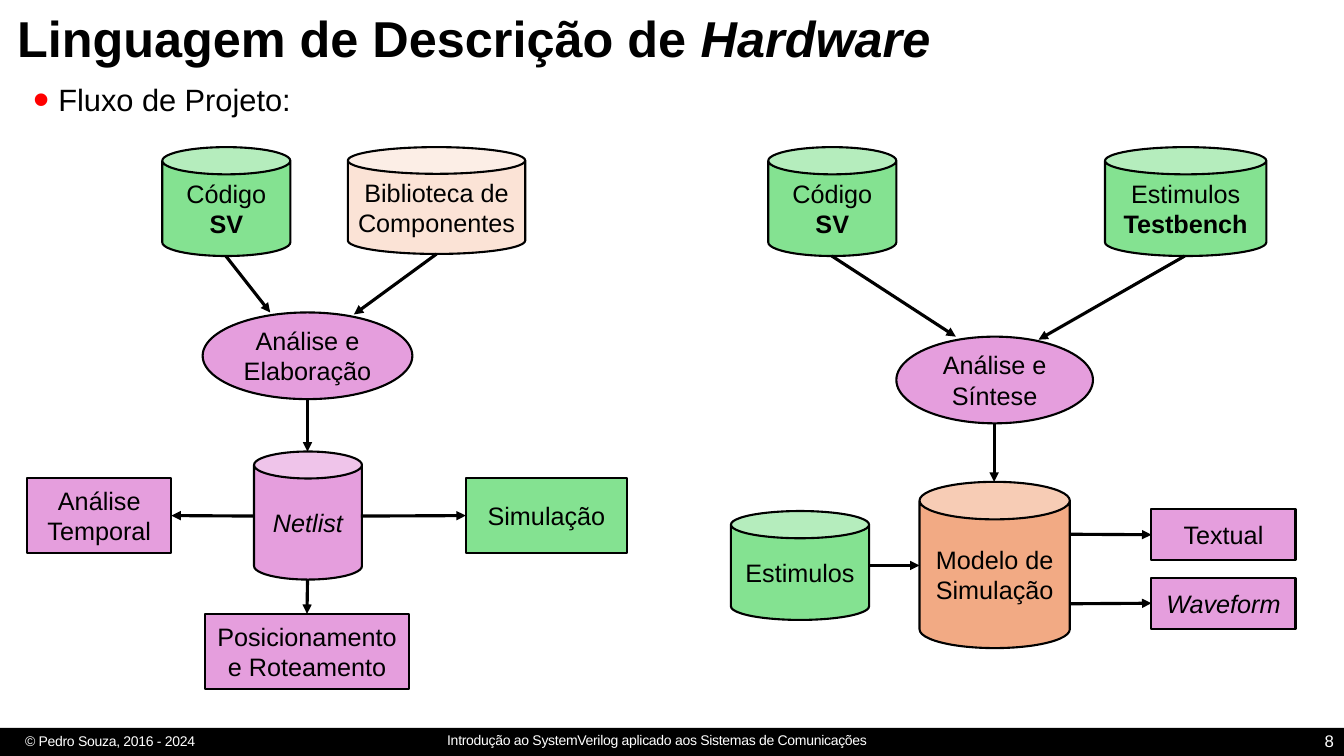
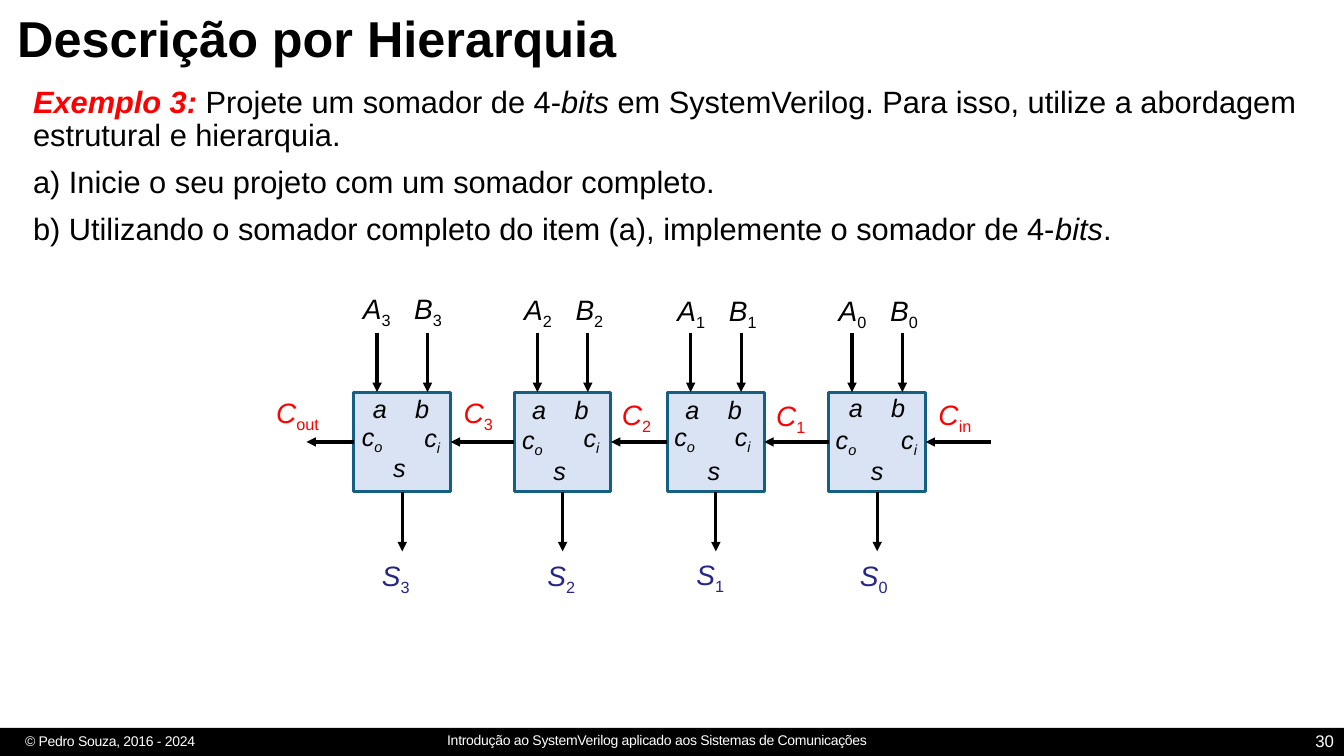
"""Build two lecture slides on hardware description: a design flow and a 4-bit adder."""
import pptx
import pptx.dml.color
import pptx.enum.shapes
import pptx.enum.text
import pptx.oxml
import pptx.oxml.ns
import pptx.util

Inches = pptx.util.Inches
Pt = pptx.util.Pt
RGB = pptx.dml.color.RGBColor
ALIGN = pptx.enum.text.PP_ALIGN
ANCHOR = pptx.enum.text.MSO_ANCHOR
SHAPE = pptx.enum.shapes.MSO_SHAPE

BLACK = RGB(0x00, 0x00, 0x00)
WHITE = RGB(0xFF, 0xFF, 0xFF)
RED = RGB(0xFF, 0x00, 0x00)
NAVY = RGB(0x26, 0x26, 0x86)
GREEN = RGB(0x84, 0xE2, 0x91)
PEACH = RGB(0xFB, 0xE3, 0xD6)
PINK = RGB(0xE5, 0x9E, 0xDD)
ORANGE = RGB(0xF2, 0xAA, 0x84)
PALE_BLUE = RGB(0xDA, 0xE3, 0xF3)
TEAL = RGB(0x15, 0x60, 0x82)
FONT = "Arial"

TOP, LEFT, BOTTOM, RIGHT = range(4)
BOLD = {"bold": True}
ITALIC = {"italic": True}

FOOTERS = [
    ("© Pedro Souza, 2016 - 2024", (0.15, 7.22, 3.28, 0.27), ALIGN.LEFT),
    ("Introdução ao SystemVerilog aplicado aos Sistemas de Comunicações",
     (4.24, 7.21, 4.55, 0.27), ALIGN.CENTER),
]

FLOW_TITLE = [("Linguagem de Descrição de ", {}), ("Hardware", ITALIC)]
FLOW_INTRO = [[("Fluxo de Projeto:", {})]]
SOURCE_CODE = [[("Código", {})], [("SV", BOLD)]]
FLOW_NODES = {
    "code": (SHAPE.CAN, (1.61, 1.46, 1.27, 1.08), GREEN, SOURCE_CODE),
    "library": (SHAPE.CAN, (3.45, 1.46, 1.76, 1.06), PEACH, [[("Biblioteca de Componentes", {})]]),
    "elaboration": (SHAPE.OVAL, (2.01, 3.1, 2.08, 0.86), PINK, [[("Análise e Elaboração", {})]]),
    "netlist": (SHAPE.CAN, (2.52, 4.48, 1.07, 1.27), PINK, [[("Netlist", ITALIC)]]),
    "timing": (SHAPE.RECTANGLE, (0.27, 4.74, 1.43, 0.75), PINK, [[("Análise Temporal", {})]]),
    "placement": (SHAPE.RECTANGLE, (2.03, 6.09, 2.03, 0.75), PINK,
                  [[("Posicionamento e Roteamento", {})]]),
    "simulation": (SHAPE.RECTANGLE, (4.62, 4.74, 1.6, 0.75), GREEN, [[("Simulação", {})]]),
    "model code": (SHAPE.CAN, (7.62, 1.46, 1.27, 1.08), GREEN, SOURCE_CODE),
    "testbench": (SHAPE.CAN, (10.96, 1.46, 1.6, 1.08), GREEN,
                  [[("Estimulos", {})], [("Testbench", BOLD)]]),
    "synthesis": (SHAPE.OVAL, (8.89, 3.34, 1.95, 0.86), PINK, [[("Análise e Síntese", {})]]),
    "model": (SHAPE.CAN, (9.12, 4.78, 1.49, 1.65), ORANGE, [[("Modelo de Simulação", {})]]),
    "stimuli": (SHAPE.CAN, (7.25, 5.07, 1.37, 1.08), GREEN, [[("Estimulos", {})]]),
    "text output": (SHAPE.RECTANGLE, (11.42, 5.05, 1.43, 0.51), PINK, [[("Textual", {})]]),
    "waveform": (SHAPE.RECTANGLE, (11.42, 5.73, 1.43, 0.51), PINK, [[("Waveform", ITALIC)]]),
}
FLOW_ARROWS = [
    ((2.24, 2.54), (2.68, 3.1), None),
    ((4.33, 2.52), (3.51, 3.12), None),
    ((3.05, 3.96), (3.05, 4.48), None),
    ((3.58, 5.12), (4.62, 5.12), ("simulation", LEFT)),
    ((3.05, 5.75), (3.05, 6.09), ("placement", TOP)),
    ((2.52, 5.12), (1.7, 5.12), ("timing", RIGHT)),
    ((8.25, 2.54), (9.48, 3.34), None),
    ((11.75, 2.54), (10.3, 3.37), None),
    ((9.86, 4.2), (9.86, 4.78), None),
    ((8.62, 5.61), (9.12, 5.61), None),
    ((10.61, 5.3), (11.42, 5.3), ("text output", LEFT)),
    ((10.61, 5.99), (11.42, 5.99), ("waveform", LEFT)),
]

ADDER_TITLE = [("Descrição por Hierarquia", {})]
ADDER_INTRO = [
    [("Exemplo 3: ", {"bold": True, "italic": True, "color": RED}),
     ("Projete um somador de 4-", {}), ("bits", ITALIC),
     (" em SystemVerilog. Para isso, utilize a abordagem estrutural e hierarquia.", {})],
    [("a) Inicie o seu projeto com um somador completo.", {})],
    [("b) Utilizando o somador completo do item (a), implemente o somador de 4-", {}),
     ("bits", ITALIC), (".", {})],
]
BITS = ["3", "2", "1", "0"]
ADDER_LEFTS = [3.51, 5.1, 6.62, 8.22]
ADDER_TOP, ADDER_WIDTH, ADDER_HEIGHT = 3.89, 0.96, 0.99
INPUT_OFFSETS = [0.23, 0.73]
ARROW_LENGTH = 0.59
CARRY_OUT_END, CARRY_IN_START = 3.04, 9.83
NO_MARKS = [""] * 4
INPUT_TOPS = [2.84, 2.85, 2.86, 2.86]
PORT_TOPS = [3.85, 3.86, 3.86, 3.84]
SIGNALS = [
    ("A", BITS, BLACK, [3.5, 5.1, 6.62, 8.22], INPUT_TOPS),
    ("B", BITS, BLACK, [4.01, 5.61, 7.13, 8.73], INPUT_TOPS),
    ("S", BITS, NAVY, [3.69, 5.33, 6.81, 8.43], [5.49, 5.49, 5.48, 5.49]),
    ("C", ["out", "3", "2", "1", "in"], RED,
     [2.64, 4.5, 6.07, 7.6, 9.21], [3.87, 3.87, 3.89, 3.9, 3.89]),
]
PORTS = [
    ("a", NO_MARKS, BLACK, [3.6, 5.18, 6.7, 8.32], PORT_TOPS),
    ("b", NO_MARKS, BLACK, [4.02, 5.6, 7.12, 8.74], PORT_TOPS),
    ("s", NO_MARKS, BLACK, [3.8, 5.39, 6.92, 8.54], [4.44, 4.47, 4.47, 4.47]),
    ("c", ["i"] * 4, BLACK, [4.11, 5.69, 7.19, 8.84], [4.14, 4.14, 4.13, 4.16]),
    ("c", ["o"] * 4, BLACK, [3.49, 5.08, 6.59, 8.19], [4.13, 4.16, 4.13, 4.16]),
]


def write(frame, paragraphs, size, color=BLACK, align=ALIGN.LEFT, layout=None, look=None):
    """Fill a text frame with paragraphs of (text, format) spans."""
    frame.word_wrap = True
    for index, spans in enumerate(paragraphs):
        para = frame.paragraphs[0] if index == 0 else frame.add_paragraph()
        for name, value in {"alignment": align, **(layout or {})}.items():
            setattr(para, name, value)
        for text, changes in spans:
            span = para.add_run()
            span.text = text
            values = {"name": FONT, "size": Pt(size), "bold": False, "italic": False,
                      "color": color, **(look or {}), **changes}
            span.font.color.rgb = values.pop("color")
            for key in ("baseline", "spc"):
                if key in values:
                    span._r.get_or_add_rPr().set(key, str(values.pop(key)))
            for name, value in values.items():
                setattr(span.font, name, value)


def add_text(page, place, paragraphs, size, **options):
    """Add a text box and return it."""
    box = page.shapes.add_textbox(*map(Inches, place))
    write(box.text_frame, paragraphs, size, **options)
    return box


def add_box(page, kind, place, fill, line=None, weight=1.5):
    """Add a flat filled shape and return it."""
    box = page.shapes.add_shape(kind, *map(Inches, place))
    box.shadow.inherit = False
    box.fill.solid()
    box.fill.fore_color.rgb = fill
    if line is None:
        box.line.fill.background()
    else:
        box.line.color.rgb = line
        box.line.width = Pt(weight)
    return box


def add_arrow(page, start, end, source=None, target=None):
    """Add an arrow, joined to (box, side) pairs where they are given."""
    straight = pptx.enum.shapes.MSO_CONNECTOR.STRAIGHT
    arrow = page.shapes.add_connector(straight, *map(Inches, start + end))
    if source:
        arrow.begin_connect(*source)
    if target:
        arrow.end_connect(*target)
    arrow.line.color.rgb = BLACK
    arrow.line.width = Pt(2.25)
    namespace = pptx.oxml.ns.nsdecls("a")
    arrow.line._get_or_add_ln().append(
        pptx.oxml.parse_xml(f'<a:tailEnd {namespace} type="triangle"/>'))
    arrow.element.spPr.append(pptx.oxml.parse_xml(f"<a:effectLst {namespace}/>"))


def add_bullet(para):
    """Give a paragraph a large red bullet with a hanging indent."""
    properties = para._p.get_or_add_pPr()
    properties.set("marL", str(Inches(0.25)))
    properties.set("indent", str(Inches(-0.25)))
    namespace = pptx.oxml.ns.nsdecls("a")
    for tag in (f'<a:buClr {namespace}><a:srgbClr val="{RED}"/></a:buClr>',
                f'<a:buSzPct {namespace} val="150000"/>',
                f'<a:buFont {namespace} typeface="{FONT}"/>',
                f'<a:buChar {namespace} char="•"/>'):
        properties.append(pptx.oxml.parse_xml(tag))


def prepare_layout(layout):
    """Place the shared title and drop the unused layout placeholders."""
    title, *unused = layout.placeholders
    title.left, title.top, title.width, title.height = map(Inches, (0.07, 0.07, 13.17, 0.68))
    for holder in unused:
        holder.element.getparent().remove(holder.element)


def add_footer(page, layout):
    """Draw the footer band and its texts, then move them to the layout."""
    parts = [add_box(page, SHAPE.RECTANGLE, (0, 7.22, 13.33, 0.28), BLACK)]
    for text, place, align in FOOTERS:
        parts.append(add_text(page, place, [[(text, {})]], 10, color=WHITE,
                              align=align, look={"spc": -20}))
    for part in parts:
        layout.shapes.element.append(part.element)


def start_page(page, title, number, intro, intro_place):
    """Write the title, the introduction and the page number."""
    frame = page.shapes.title.text_frame
    frame.auto_size = pptx.enum.text.MSO_AUTO_SIZE.NONE
    frame.vertical_anchor = ANCHOR.MIDDLE
    write(frame, [title], 36, look=BOLD, layout={"line_spacing": 0.9})
    body = add_text(page, intro_place, intro, 22,
                    layout={"line_spacing": 0.9, "space_before": Pt(10)})
    corner = add_text(page, (10.33, 7.15, 3, 0.4), [[(number, {})]], 12,
                      color=WHITE, align=ALIGN.RIGHT)
    corner.text_frame.vertical_anchor = ANCHOR.MIDDLE
    return body


def build_flow(page):
    """Draw the two design flows."""
    body = start_page(page, FLOW_TITLE, "8", FLOW_INTRO, (0.23, 0.79, 12.82, 0.56))
    add_bullet(body.text_frame.paragraphs[0])
    nodes = {}
    for name, (kind, place, fill, text) in FLOW_NODES.items():
        nodes[name] = add_box(page, kind, place, fill, BLACK)
        frame = nodes[name].text_frame
        frame.margin_left = frame.margin_right = Inches(0.08)
        frame.vertical_anchor = ANCHOR.MIDDLE
        write(frame, text, 18, align=ALIGN.CENTER)
    for start, end, joint in FLOW_ARROWS:
        add_arrow(page, start, end, target=joint and (nodes[joint[0]], joint[1]))


def add_labels(page, rows, size, height, mark_look):
    """Write rows of symbols with optional subscripts."""
    for symbol, marks, color, lefts, tops in rows:
        for mark, left, top in zip(marks, lefts, tops):
            spans = [(symbol, ITALIC)]
            if mark:
                spans.append((mark, {"baseline": -25000, **mark_look}))
            width = 0.84 if len(mark) > 1 else 0.6
            add_text(page, (left, top, width, height), [spans], size, color=color)


def build_adder(page):
    """Draw the ripple-carry chain of full adders."""
    start_page(page, ADDER_TITLE, "30", ADDER_INTRO, (0.23, 0.81, 12.82, 6.3))
    adders = [add_box(page, SHAPE.RECTANGLE, (left, ADDER_TOP, ADDER_WIDTH, ADDER_HEIGHT),
                      PALE_BLUE, TEAL, 2.25) for left in ADDER_LEFTS]
    bottom = ADDER_TOP + ADDER_HEIGHT
    carry_y = ADDER_TOP + ADDER_HEIGHT / 2
    for index, (left, adder) in enumerate(zip(ADDER_LEFTS, adders)):
        for offset in INPUT_OFFSETS:
            x = left + offset
            add_arrow(page, (x, ADDER_TOP - ARROW_LENGTH), (x, ADDER_TOP))
        middle = left + ADDER_WIDTH / 2
        add_arrow(page, (middle, bottom), (middle, bottom + ARROW_LENGTH), (adder, BOTTOM))
        target = (adders[index - 1], RIGHT) if index else None
        add_arrow(page, (left, carry_y), (CARRY_OUT_END, carry_y), (adder, LEFT), target)
    add_arrow(page, (CARRY_IN_START, carry_y), (ADDER_LEFTS[-1] + ADDER_WIDTH, carry_y),
              target=(adders[-1], RIGHT))
    add_labels(page, SIGNALS, 20, 0.44, {})
    add_labels(page, PORTS, 18, 0.4, ITALIC)


def main():
    """Build and save the deck."""
    deck = pptx.Presentation()
    deck.slide_width, deck.slide_height = Inches(13.33), Inches(7.5)
    layout = deck.slide_layouts[5]
    prepare_layout(layout)
    flow_page, adder_page = [deck.slides.add_slide(layout) for _ in range(2)]
    add_footer(flow_page, layout)
    build_flow(flow_page)
    build_adder(adder_page)
    deck.save("out.pptx")


if __name__ == "__main__":
    main()
